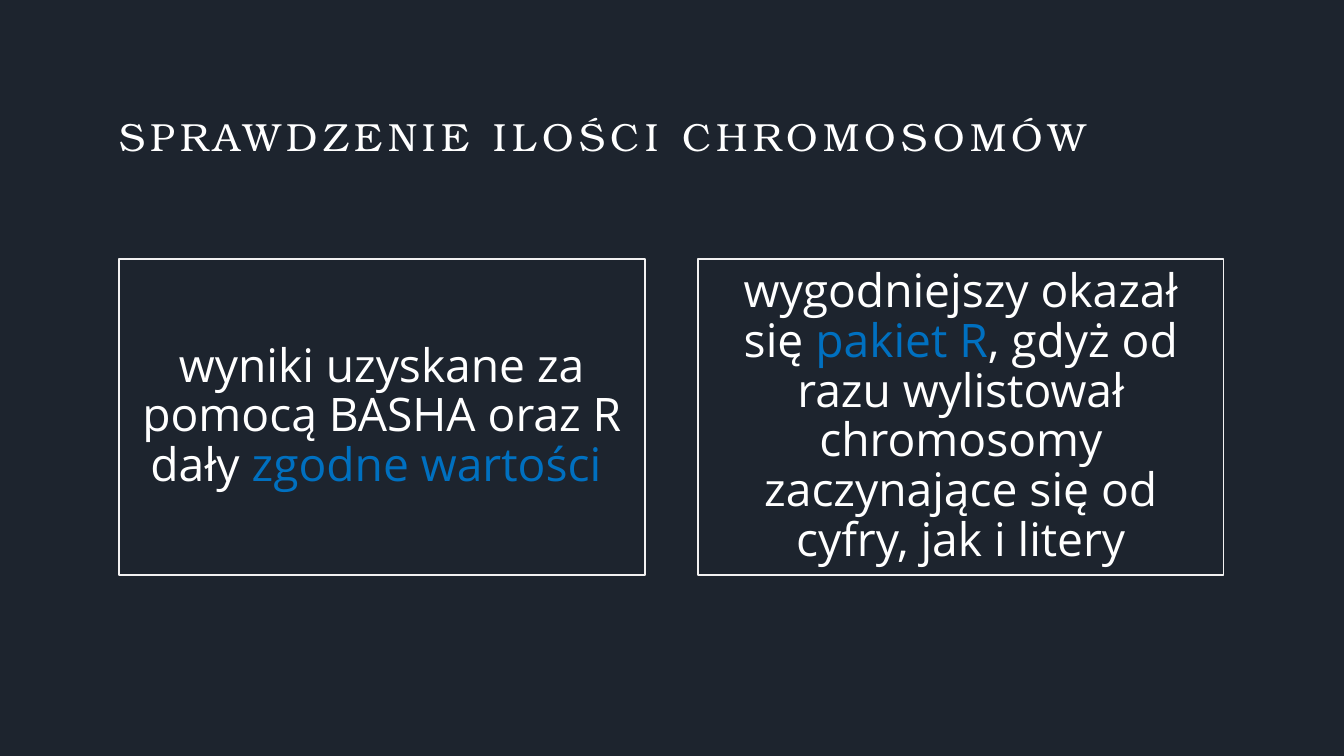
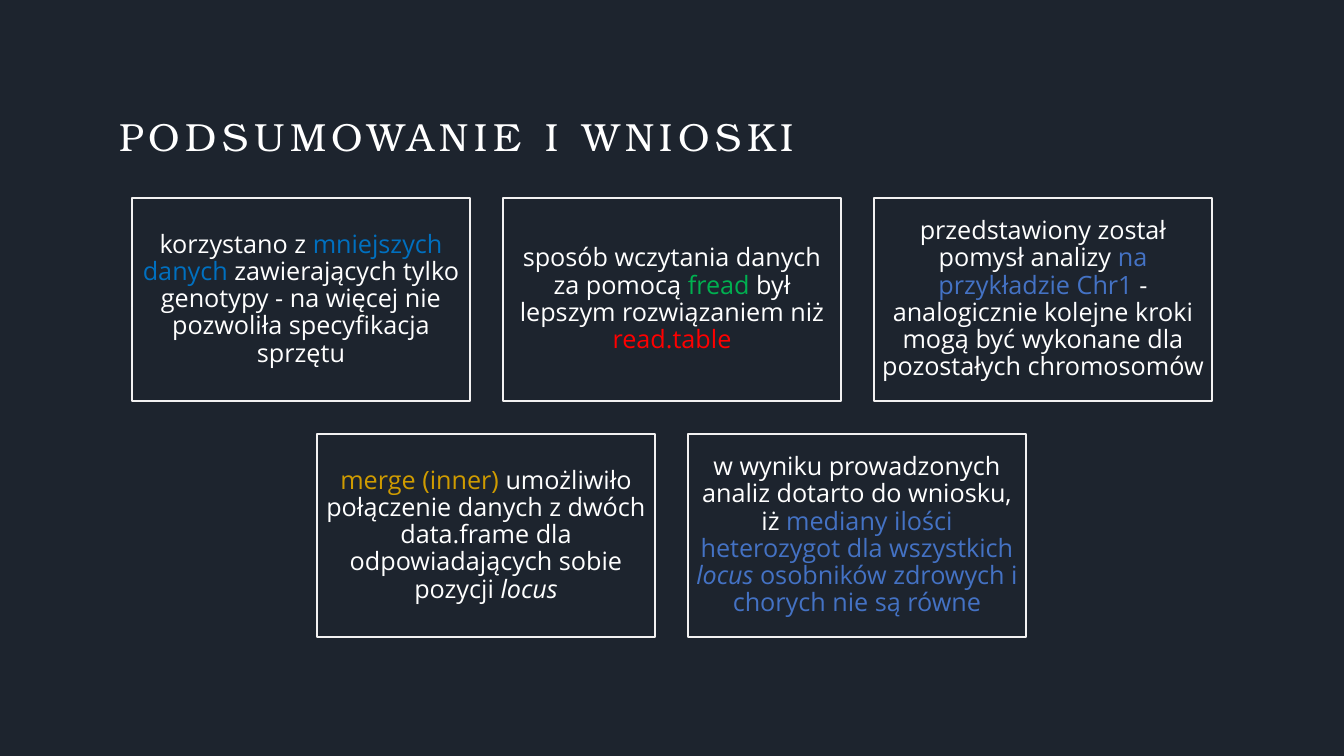
from dataclasses import dataclass

from pptx import Presentation
from pptx.dml.color import RGBColor
from pptx.enum.shapes import MSO_SHAPE
from pptx.enum.text import MSO_ANCHOR, MSO_AUTO_SIZE, PP_ALIGN
from pptx.util import Emu, Pt


@dataclass(frozen=True)
class Theme:
    # Colours
    back: str = "1D242E"
    text: str = "FFFFFF"
    edge: str = "F2F1F1"
    blue: str = "0070C0"
    soft: str = "4472C4"
    green: str = "00B050"
    red: str = "FF0000"
    gold: str = "CF9B00"
    # Type
    head: str = "TeX Gyre Bonum"
    body: str = "Open Sans"
    title: int = 28
    large: int = 33
    small: int = 18
    track: int = 400


@dataclass(frozen=True)
class Grid:
    wide: int
    high: int
    gap: int
    pad: int
    size: int


THEME = Theme()
WIDE, HIGH = 1344, 756
PAIR = Grid(526, 316, 53, 14, THEME.large)
CARDS = Grid(338, 203, 33, 7, THEME.small)


def px(count):
    return Emu(round(count * 914400 / 100.8))


def tint(code):
    return RGBColor.from_string(code)


def inset(frame, pad):
    frame.margin_left = frame.margin_right = px(pad)
    frame.margin_top = frame.margin_bottom = px(pad)
    frame.word_wrap = True
    frame.auto_size = MSO_AUTO_SIZE.NONE


def style(para, face, size, align):
    para.alignment = align
    para.font.name = face
    para.font.size = Pt(size)
    para.font.color.rgb = tint(THEME.text)


def add_page(deck, text):
    """Add a slide with its spaced title."""
    page = deck.slides.add_slide(deck.slide_layouts[5])
    title = page.shapes.title
    title.left, title.top = px(119), px(112)
    title.width, title.height = px(1106), px(72)
    frame = title.text_frame
    inset(frame, 0)
    frame.vertical_anchor = MSO_ANCHOR.TOP
    para = frame.paragraphs[0]
    style(para, THEME.head, THEME.title, PP_ALIGN.LEFT)
    run = para.add_run()
    run.text = text
    run.font._element.set("spc", str(THEME.track))
    return page


def add_card(page, left, top, grid, parts):
    """Add an outlined box; each part is text, colour, italic."""
    card = page.shapes.add_shape(
        MSO_SHAPE.RECTANGLE, px(left), px(top), px(grid.wide), px(grid.high))
    card.shadow.inherit = False
    card.fill.solid()
    card.fill.fore_color.rgb = tint(THEME.back)
    card.line.color.rgb = tint(THEME.edge)
    card.line.width = Pt(0.85)
    frame = card.text_frame
    inset(frame, grid.pad)
    frame.vertical_anchor = MSO_ANCHOR.MIDDLE
    para = frame.paragraphs[0]
    style(para, THEME.body, grid.size, PP_ALIGN.CENTER)
    para.line_spacing = 0.9
    for text, hue, slant in parts:
        run = para.add_run()
        run.text = text
        run.font.color.rgb = tint(hue)
        if slant:
            run.font.italic = True


def add_rows(page, top, grid, rows):
    """Centre every row of cards on the slide."""
    for line, row in enumerate(rows):
        span = len(row) * (grid.wide + grid.gap) - grid.gap
        start = (WIDE - span) // 2
        for col, parts in enumerate(row):
            add_card(page, start + col * (grid.wide + grid.gap),
                     top + line * (grid.high + grid.gap), grid, parts)


def say(text, hue=THEME.text, slant=False):
    return text, hue, slant


def main():
    deck = Presentation()
    deck.slide_width, deck.slide_height = px(WIDE), px(HIGH)
    fill = deck.slide_master.background.fill
    fill.solid()
    fill.fore_color.rgb = tint(THEME.back)

    # Chromosome check
    page = add_page(deck, "SPRAWDZENIE ILOŚCI CHROMOSOMÓW")
    add_rows(page, 259, PAIR, [[
        [say("wyniki uzyskane za pomocą BASHA oraz R dały "),
         say("zgodne wartości ", THEME.blue)],
        [say("wygodniejszy okazał się "),
         say("pakiet R", THEME.blue),
         say(", gdyż od razu wylistował chromosomy zaczynające się "
             "od cyfry, jak i litery")],
    ]])

    # Summary
    page = add_page(deck, "PODSUMOWANIE I WNIOSKI")
    add_rows(page, 198, CARDS, [
        [
            [say("korzystano z "),
             say("mniejszych danych", THEME.blue),
             say(" zawierających tylko genotypy - na więcej nie "
                 "pozwoliła specyfikacja sprzętu")],
            [say("sposób wczytania danych za pomocą "),
             say("fread", THEME.green),
             say(" był lepszym rozwiązaniem niż "),
             say("read.table", THEME.red)],
            [say("przedstawiony został pomysł analizy "),
             say("na przykładzie Chr1 ", THEME.soft),
             say("- analogicznie kolejne kroki mogą być wykonane "
                 "dla pozostałych chromosomów")],
        ],
        [
            [say("merge (inner)", THEME.gold),
             say(" umożliwiło połączenie danych z dwóch data.frame "
                 "dla odpowiadających sobie pozycji "),
             say("locus", slant=True)],
            [say("w wyniku prowadzonych analiz dotarto do wniosku, iż "),
             say("mediany ilości heterozygot dla wszystkich ", THEME.soft),
             say("locus ", THEME.soft, True),
             say("osobników zdrowych i chorych nie są równe", THEME.soft)],
        ],
    ])
    deck.save("out.pptx")


main()
